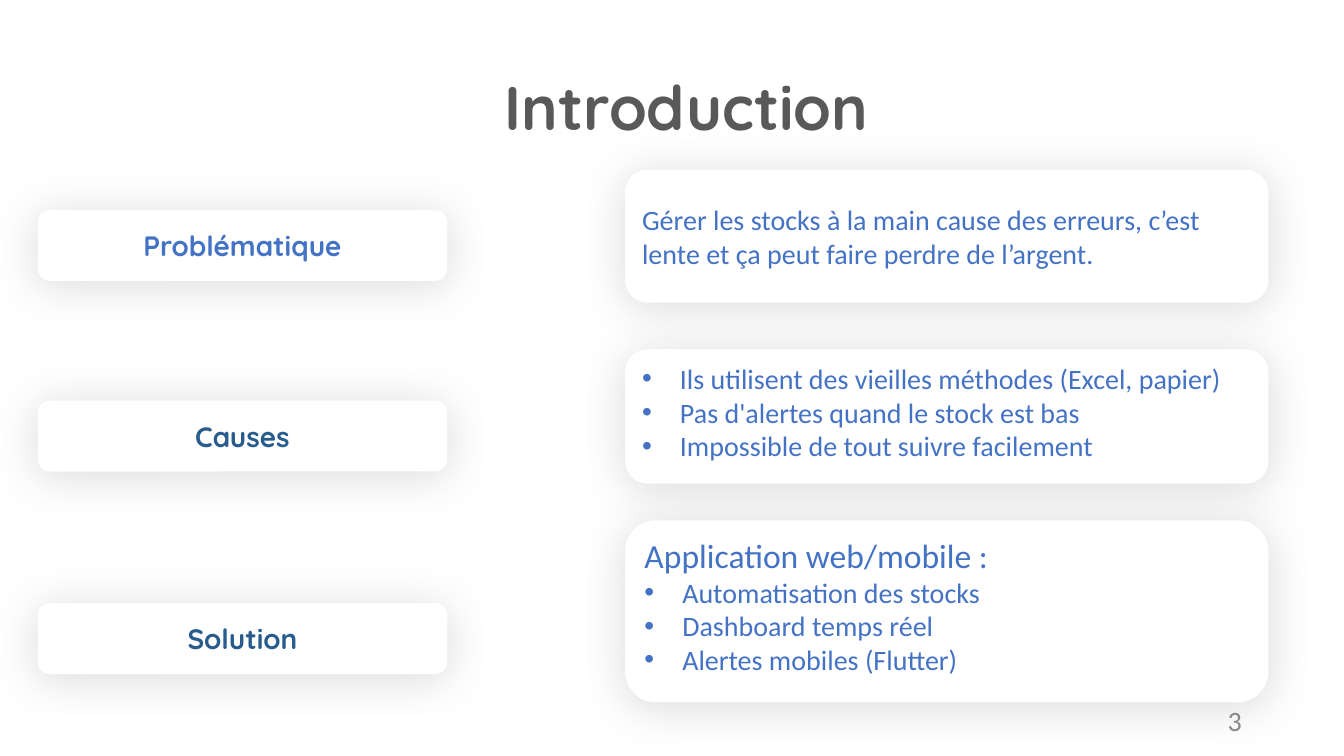
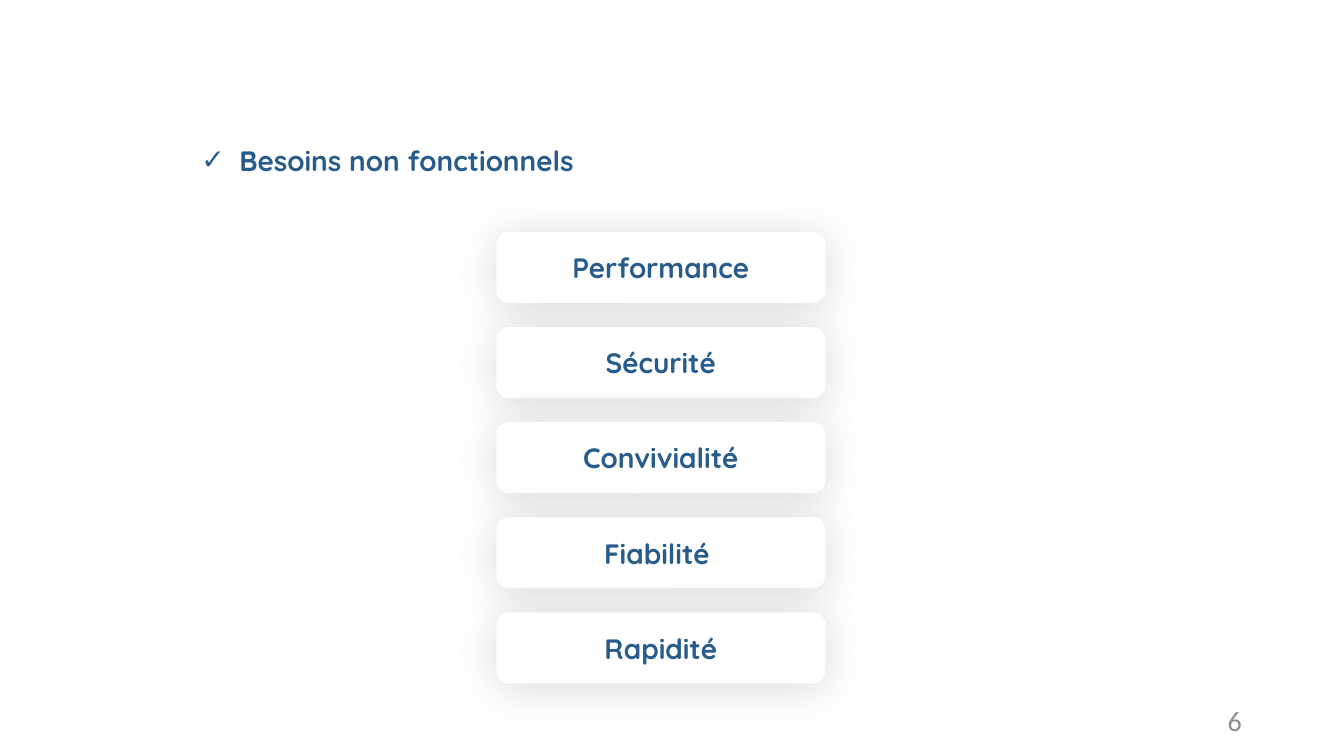
from dataclasses import dataclass

from lxml.etree import SubElement
from pptx import Presentation
from pptx.dml.color import RGBColor
from pptx.enum.shapes import MSO_SHAPE
from pptx.enum.text import MSO_ANCHOR, PP_ALIGN
from pptx.oxml import parse_xml
from pptx.oxml.ns import nsdecls, qn
from pptx.util import Pt


@dataclass(frozen=True)
class Theme:
    white: str = "FFFFFF"
    gray: str = "595959"
    page_gray: str = "8C8C8C"
    blue: str = "4472C4"
    navy: str = "275C8D"
    heading_font: str = "Quicksand"
    body_font: str = "Calibri"
    title_size: int = 44
    lead_size: int = 24
    text_size: int = 20
    bullet_indent: int = 27
    label_height: float = 49.7


class Deck:
    def __init__(self, theme):
        self.theme = theme
        self.presentation = Presentation()
        self.presentation.slide_width = Pt(960)
        self.presentation.slide_height = Pt(540)
        self.slide = None

    def add_slide(self, number):
        self.slide = self.presentation.slides.add_slide(self.presentation.slide_layouts[6])
        frame = self.text_box(678.2, 500.4, 216, 28.8, MSO_ANCHOR.MIDDLE)
        paragraph = self.add_text(frame, str(number), self.theme.page_gray)
        paragraph.alignment = PP_ALIGN.RIGHT

    def text_box(self, left, top, width, height, anchor=MSO_ANCHOR.TOP):
        shape = self.slide.shapes.add_textbox(Pt(left), Pt(top), Pt(width), Pt(height))
        frame = shape.text_frame
        frame.word_wrap = True
        frame.vertical_anchor = anchor
        return frame

    def add_text(self, frame, text, color, size=None, heading=False, bullet=None):
        """Fill the first empty paragraph, or add one after the last."""
        paragraph = frame.paragraphs[-1]
        if paragraph.runs:
            paragraph = frame.add_paragraph()
        paragraph.add_run().text = text
        paragraph.alignment = PP_ALIGN.LEFT
        font = paragraph.font
        font.name = self.theme.heading_font if heading else self.theme.body_font
        font.size = Pt(size or self.theme.text_size)
        font.bold = heading
        font.color.rgb = RGBColor.from_string(color)
        if bullet:
            self.add_bullet(paragraph, bullet)
        return paragraph

    def add_bullet(self, paragraph, character):
        properties = paragraph._p.get_or_add_pPr()
        indent = Pt(self.theme.bullet_indent)
        properties.set("marL", str(indent))
        properties.set("indent", str(-indent))
        properties.insert(0, parse_xml(f'<a:buFont {nsdecls("a")} typeface="Arial"/>'))
        properties.insert(1, parse_xml(f'<a:buChar {nsdecls("a")} char="{character}"/>'))

    def title(self, text):
        frame = self.text_box(353.5, 26.6, 288.7, 104.4, MSO_ANCHOR.MIDDLE)
        paragraph = self.add_text(frame, text, self.theme.gray, self.theme.title_size, heading=True)
        paragraph.line_spacing = 0.9

    def panel(self, left, top, width, height, anchor=MSO_ANCHOR.MIDDLE):
        """White rounded rectangle with a soft shadow."""
        shape = self.slide.shapes.add_shape(
            MSO_SHAPE.ROUNDED_RECTANGLE, Pt(left), Pt(top), Pt(width), Pt(height))
        white = RGBColor.from_string(self.theme.white)
        shape.fill.solid()
        shape.fill.fore_color.rgb = white
        shape.line.color.rgb = white
        shape.line.width = Pt(1)
        shape.shadow.inherit = False
        effects = shape.element.spPr.find(qn("a:effectLst"))
        shadow = SubElement(effects, qn("a:outerShdw"), blurRad=str(Pt(32)), dist=str(Pt(3)),
                            dir=str(94 * 60000), algn="t", rotWithShape="0")
        color = SubElement(shadow, qn("a:srgbClr"), val=self.theme.gray)
        SubElement(color, qn("a:alpha"), val="22000")
        shape.text_frame.vertical_anchor = anchor
        shape.text_frame.word_wrap = True
        return shape.text_frame

    def label(self, text, left, top, width, color=None):
        frame = self.panel(left, top, width, self.theme.label_height)
        paragraph = self.add_text(frame, text, color or self.theme.navy, heading=True)
        paragraph.alignment = PP_ALIGN.CENTER

    def card(self, top, height, lead=None, lead_size=None, bullets=()):
        anchor = MSO_ANCHOR.TOP if bullets else MSO_ANCHOR.MIDDLE
        frame = self.panel(447, top, 458.6, height, anchor)
        if lead:
            self.add_text(frame, lead, self.theme.blue, lead_size)
        for text in bullets:
            self.add_text(frame, text, self.theme.blue, bullet="•")


def introduction(deck):
    theme = deck.theme
    deck.add_slide(3)
    deck.title("Introduction")

    # Topics on the left
    topics = [("Problématique", 150.5, theme.blue), ("Causes", 286.6, theme.navy),
              ("Solution", 431.3, theme.navy)]
    for text, top, color in topics:
        deck.label(text, 27.4, top, 291.6, color)

    # Explanations on the right
    deck.card(121.7, 94, "Gérer les stocks à la main cause des erreurs, c’est lente "
                         "et ça peut faire perdre de l’argent.")
    deck.card(250, 95, bullets=["Ils utilisent des vieilles méthodes (Excel, papier)",
                                "Pas d'alertes quand le stock est bas",
                                "Impossible de tout suivre facilement"])
    deck.card(372.2, 129, "Application web/mobile :", theme.lead_size,
              ["Automatisation des stocks", "Dashboard temps réel", "Alertes mobiles (Flutter)"])


def requirements(deck):
    deck.add_slide(6)
    heading = deck.text_box(136.8, 98.6, 294.5, 31.5)
    deck.add_text(heading, "Besoins non fonctionnels", deck.theme.navy, heading=True, bullet="✓")

    # Evenly spaced column of needs
    needs = ["Performance", "Sécurité", "Convivialité", "Fiabilité ", "Rapidité"]
    for row, text in enumerate(needs):
        deck.label(text, 355, 166.3 + row * 67.9, 234)


def main():
    deck = Deck(Theme())
    introduction(deck)
    requirements(deck)
    deck.presentation.save("out.pptx")


if __name__ == "__main__":
    main()
